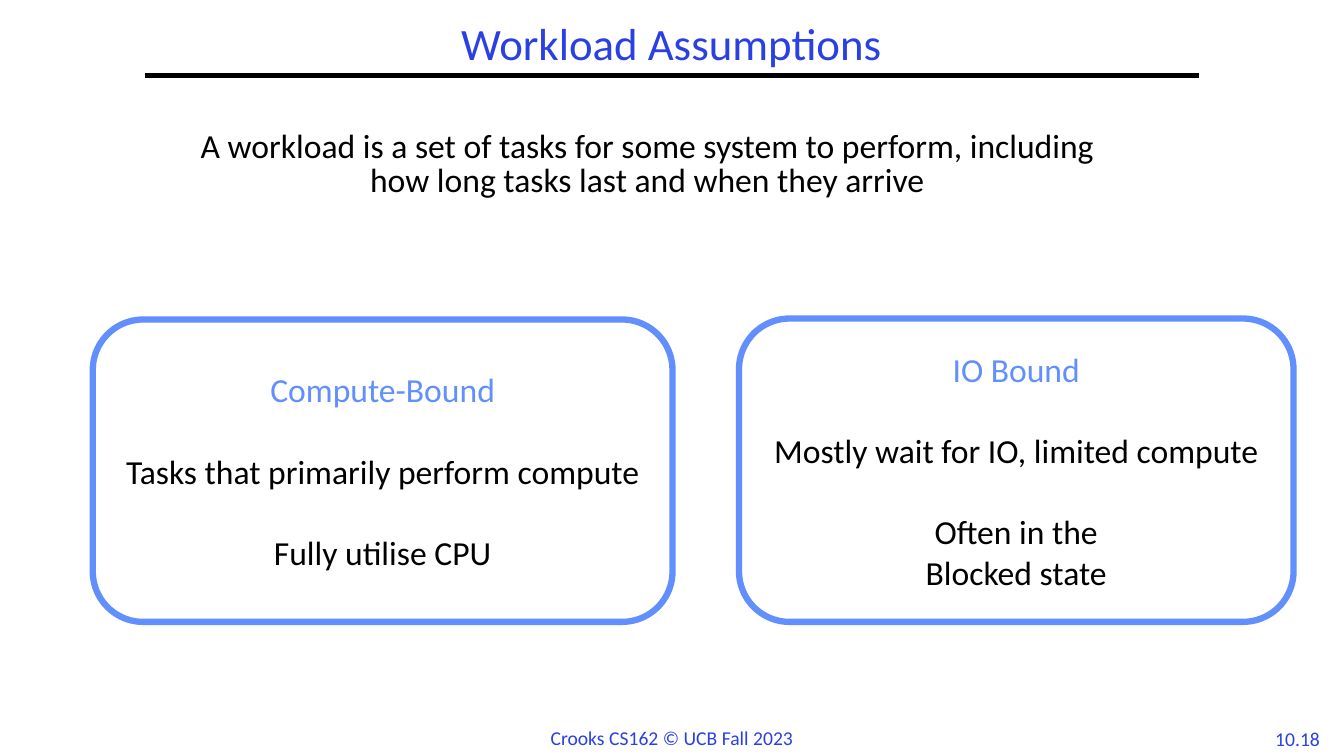
from pptx import Presentation
from pptx.dml.color import RGBColor
from pptx.enum.shapes import MSO_CONNECTOR as CONN, MSO_SHAPE as SHAPE
from pptx.enum.text import MSO_ANCHOR as ANCHOR, PP_ALIGN as ALIGN
from pptx.util import Inches, Pt
from lxml import etree

COLORS = {"title": "2A40E2", "accent": "618FFD", "text": "000000", "fill": "FFFFFF"}
FONT = "Calibri"
GAP = 29.3

TEXTS = [
    ("Workload Assumptions", (1.44, 0.17, 10.44, 0.58), 32, "title", 0.9, ANCHOR.MIDDLE, True),
    ("A workload is a set of tasks for some system to perform, including how long tasks last and when they arrive",
     (1.67, 1.25, 9.5, 5.58), 24, "text", 0.85, ANCHOR.TOP, True),
    ("Crooks CS162 © UCB Fall 2023", (5.35, 7.15, 2.63, 0.34), 14, "title", 1.0, ANCHOR.TOP, False),
    ("10.18", (12.53, 7.16, 0.68, 0.33), 14, "title", 1.0, ANCHOR.TOP, False),
]
CARDS = [
    ((0.92, 3.17, 5.75, 3), [
        ("Compute-Bound", "accent", 0),
        ("Tasks that primarily perform compute", "text", GAP),
        ("Fully utilise CPU", "text", GAP),
    ]),
    ((7.33, 3.16, 5.5, 3.01), [
        ("IO Bound", "accent", 0),
        ("Mostly wait for IO, limited compute", "text", GAP),
        ("Often in the", "text", GAP),
        ("Blocked state", "text", 0),
    ]),
]
RULE = (1.44, 0.75, 11.89, 0.75)


def rgb(name):
    return RGBColor.from_string(COLORS[name])


def style(p, size, color, spacing=1.0, before=0):
    p.alignment = ALIGN.CENTER
    p.line_spacing = spacing
    p.space_before = Pt(before)
    for r in p.runs:
        r.font.size = Pt(size)
        r.font.name = FONT
        r.font.color.rgb = rgb(color)


def add_text(s, text, box, size, color, spacing, anchor, wrap):
    tf = s.shapes.add_textbox(*map(Inches, box)).text_frame
    tf.word_wrap = wrap
    tf.vertical_anchor = anchor
    tf.text = text
    style(tf.paragraphs[0], size, color, spacing)


def add_card(s, box, lines):
    sp = s.shapes.add_shape(SHAPE.ROUNDED_RECTANGLE, *map(Inches, box))
    sp.shadow.inherit = False
    sp.fill.solid()
    sp.fill.fore_color.rgb = rgb("fill")
    sp.line.color.rgb = rgb("accent")
    sp.line.width = Pt(4.5)
    tf = sp.text_frame
    tf.word_wrap = True
    tf.vertical_anchor = ANCHOR.MIDDLE
    tf.text = "\n".join(text for text, _, _ in lines)
    for p, (_, color, before) in zip(tf.paragraphs, lines):
        style(p, 24, color, before=before)


def add_rule(s):
    line = s.shapes.add_connector(CONN.STRAIGHT, *map(Inches, RULE))
    line.line.color.rgb = rgb("text")
    line.line.width = Pt(3)
    props = line._element.spPr
    etree.SubElement(props, "{http://schemas.openxmlformats.org/drawingml/2006/main}effectLst")


def main():
    prs = Presentation()
    prs.slide_width, prs.slide_height = Inches(13.33), Inches(7.5)
    s = prs.slides.add_slide(prs.slide_layouts[6])
    add_rule(s)
    for item in TEXTS:
        add_text(s, *item)
    for box, lines in CARDS:
        add_card(s, box, lines)
    prs.save("out.pptx")


if __name__ == "__main__":
    main()
